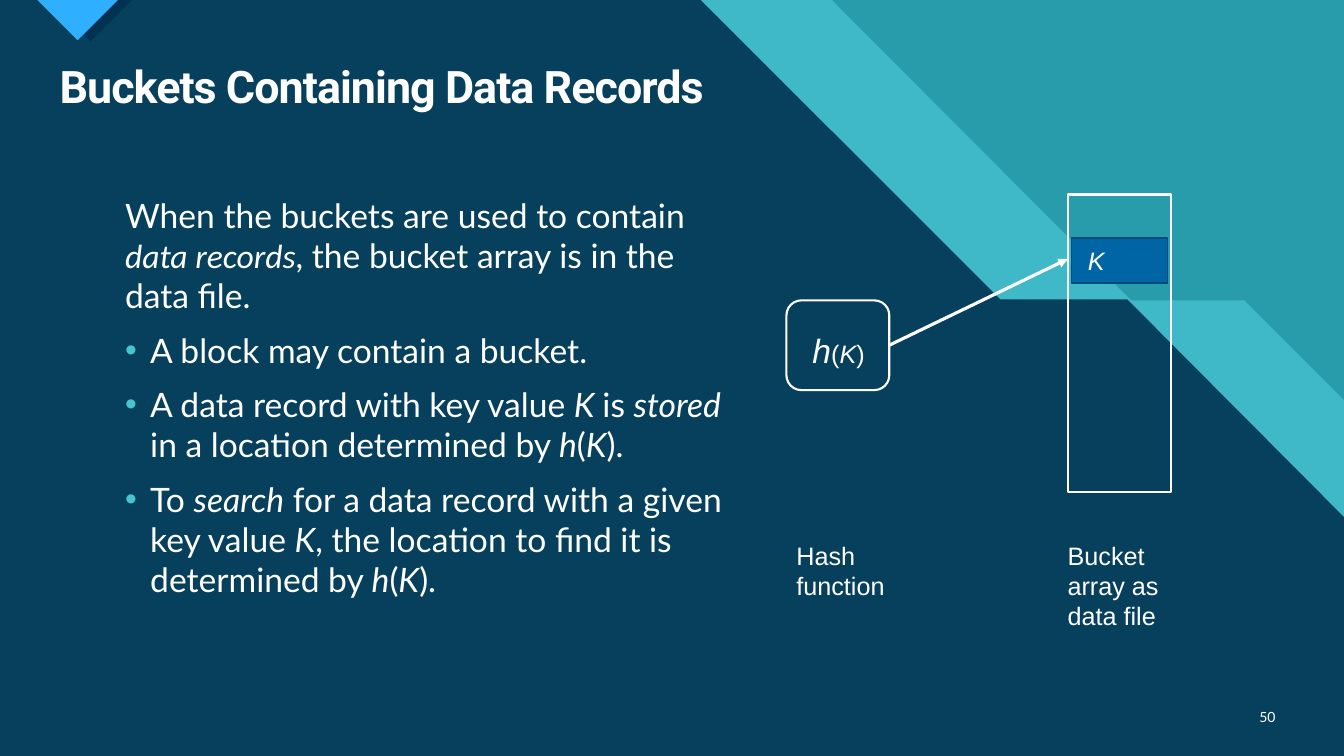
from lxml import etree
from pptx import Presentation
from pptx import util as u
from pptx.dml.color import RGBColor
from pptx.enum import shapes, text
from pptx.oxml import ns

WHITE = RGBColor(0xFF, 0xFF, 0xFF)
AQUA = RGBColor(0x47, 0xC3, 0xD3)
TEAL = RGBColor(0x29, 0x9C, 0xAB)
NAVY = RGBColor(0x00, 0x33, 0x52)
SKY = RGBColor(0x2F, 0xAF, 0xFF)
RECORD_FILL = RGBColor(0x00, 0x65, 0xA4)
RECORD_LINE = RGBColor(0x00, 0x4B, 0x79)

# Content: text between asterisks is italic
WIDTH, HEIGHT = 13.33, 7.5
TITLE = "Buckets Containing Data Records"
BODY = [  # text, bulleted, italic font
    ("When the buckets are used to contain *data records*, the bucket array "
     "is in the data file.", False, "Calibri"),
    ("A block may contain a bucket.", True, "Lato"),
    ("A data record with key value *K *is *stored* in a location determined "
     "by *h*(*K*).", True, "Lato"),
    ("To *search* for a data record with a given key value *K*, the location "
     "to find it is determined by *h*(*K*).", True, "Lato"),
]
BACKDROP = [  # outline, colour, opacity in percent
    ([(0, 0), (WIDTH, 0), (WIDTH, HEIGHT), (0, HEIGHT)], TEAL, 100),
    ([(0, 0), (8.25, 0), (11.22, 2.98), (12.34, 2.98), (WIDTH, 3.97),
      (WIDTH, HEIGHT), (0, HEIGHT)], AQUA, 74),
    ([(0, 0), (6.95, 0), (9.92, 2.97), (11.18, 2.97), (WIDTH, 5.13),
      (WIDTH, HEIGHT), (0, HEIGHT)], NAVY, 90),
    ([(0.48, 0), (1.31, 0), (0.9, 0.41)], NAVY, 100),
    ([(0.37, 0), (1.17, 0), (0.77, 0.4)], SKY, 100),
]
LABELS = [  # text, box
    ("*K*", (10.69, 2.38, 0.42, 0.4)),
    ("Bucket array as data file", (10.49, 5.31, 1.21, 1.01)),
    ("Hash function", (7.8, 5.31, 1.21, 0.71)),
]
HASH_BOX = (7.8, 2.98, 1.02, 0.89)
BUCKET_ARRAY = (10.59, 1.93, 1.02, 2.95)
RECORD = (10.63, 2.36, 0.95, 0.45)
ARROW_END = (10.59, 2.57)

presentation = Presentation()
presentation.slide_width = u.Inches(WIDTH)
presentation.slide_height = u.Inches(HEIGHT)
slide = presentation.slides.add_slide(presentation.slide_layouts[1])
slide.background.fill.solid()
slide.background.fill.fore_color.rgb = AQUA


def inches(values):
    return [u.Inches(value) for value in values]


def place(shape, box):
    shape.left, shape.top, shape.width, shape.height = inches(box)


def write(paragraph, marked, size, name, italic_name=None, bold=False):
    for index, part in enumerate(marked.split("*")):
        if not part:
            continue
        italic = index % 2 == 1
        run = paragraph.add_run()
        run.text = part
        values = {"size": u.Pt(size), "bold": bold, "italic": italic,
                  "name": italic_name if italic and italic_name else name}
        for key, value in values.items():
            setattr(run.font, key, value)
        run.font.color.rgb = WHITE


def add_label(marked, box, size=18, name="Arial"):
    label = slide.shapes.add_textbox(*inches(box))
    label.text_frame.word_wrap = True
    write(label.text_frame.paragraphs[0], marked, size, name)
    return label


def add_box(kind, box, line_colour, line_width, fill=None):
    shape = slide.shapes.add_shape(kind, *inches(box))
    shape.shadow.inherit = False
    if fill is None:
        shape.fill.background()
    else:
        shape.fill.solid()
        shape.fill.fore_color.rgb = fill
    shape.line.color.rgb = line_colour
    shape.line.width = u.Pt(line_width)
    return shape


# Backdrop
for outline, colour, opacity in BACKDROP:
    points = [inches(point) for point in outline]
    builder = slide.shapes.build_freeform(*points[0])
    builder.add_line_segments(points[1:], close=True)
    panel = builder.convert_to_shape()
    panel.shadow.inherit = False
    panel.line.fill.background()
    panel.fill.solid()
    panel.fill.fore_color.rgb = colour
    if opacity < 100:
        colour_node = panel._element.spPr.find(".//" + ns.qn("a:srgbClr"))
        etree.SubElement(colour_node, ns.qn("a:alpha"), val=str(opacity * 1000))

# Title and body stand in front of the backdrop
title, body = slide.shapes.title, slide.placeholders[1]
for placeholder in (title, body):
    slide.shapes._spTree.append(placeholder._element)
    frame = placeholder.text_frame
    frame.word_wrap = True
    frame.auto_size = text.MSO_AUTO_SIZE.NONE
    frame.vertical_anchor = text.MSO_ANCHOR.TOP

place(title, (0.49, 0.59, 12.26, 0.59))
heading = title.text_frame.paragraphs[0]
heading.alignment = text.PP_ALIGN.LEFT
heading.line_spacing = 0.9
write(heading, TITLE, 32, "Roboto", bold=True)
heading.runs[0]._r.get_or_add_rPr().set("spc", "-70")

place(body, (1.14, 1.88, 6.22, 4.59))
for index, (marked, bulleted, italic_name) in enumerate(BODY):
    frame = body.text_frame
    paragraph = frame.add_paragraph() if index else frame.paragraphs[0]
    values = {"space_before": u.Pt(6), "space_after": u.Pt(4),
              "line_spacing": 1.0, "alignment": text.PP_ALIGN.LEFT}
    for key, value in values.items():
        setattr(paragraph, key, value)
    properties = paragraph._p.get_or_add_pPr()
    indent = u.Inches(0.25) if bulleted else 0
    properties.set("marL", str(indent))
    properties.set("indent", str(-indent))
    if bulleted:
        bullet_colour = etree.SubElement(properties, ns.qn("a:buClr"))
        etree.SubElement(bullet_colour, ns.qn("a:srgbClr"), val=str(AQUA))
        etree.SubElement(properties, ns.qn("a:buFont"), typeface="Arial")
        etree.SubElement(properties, ns.qn("a:buChar"), char="•")
    else:
        etree.SubElement(properties, ns.qn("a:buNone"))
    write(paragraph, marked, 24, "Lato", italic_name)

# Slide number
number = add_label("50", (12.31, 6.91, 0.44, 0.4), 10, "Lato")
number.text_frame.vertical_anchor = text.MSO_ANCHOR.MIDDLE
number.text_frame.paragraphs[0].alignment = text.PP_ALIGN.RIGHT

# Hash function and bucket array
formula = add_label("*h*(*K*)", (7.96, 3.22, 0.87, 0.5))
formula.text_frame.paragraphs[0].runs[0].font.size = u.Pt(24)
hash_box = add_box(shapes.MSO_SHAPE.ROUNDED_RECTANGLE, HASH_BOX, WHITE, 1.5)
add_box(shapes.MSO_SHAPE.RECTANGLE, BUCKET_ARRAY, WHITE, 1.5)

# Arrow from the hash function to the record
end = inches(ARROW_END)
arrow = slide.shapes.add_connector(shapes.MSO_CONNECTOR.STRAIGHT, *end, *end)
arrow.begin_connect(hash_box, 3)
arrow.line.color.rgb = WHITE
arrow.line.width = u.Pt(2.25)
etree.SubElement(arrow.line._get_or_add_ln(), ns.qn("a:tailEnd"), type="triangle")
etree.SubElement(arrow._element.spPr, ns.qn("a:effectLst"))

# Record and labels
add_box(shapes.MSO_SHAPE.RECTANGLE, RECORD, RECORD_LINE, 1, RECORD_FILL)
for marked, box in LABELS:
    add_label(marked, box)

presentation.save("out.pptx")
